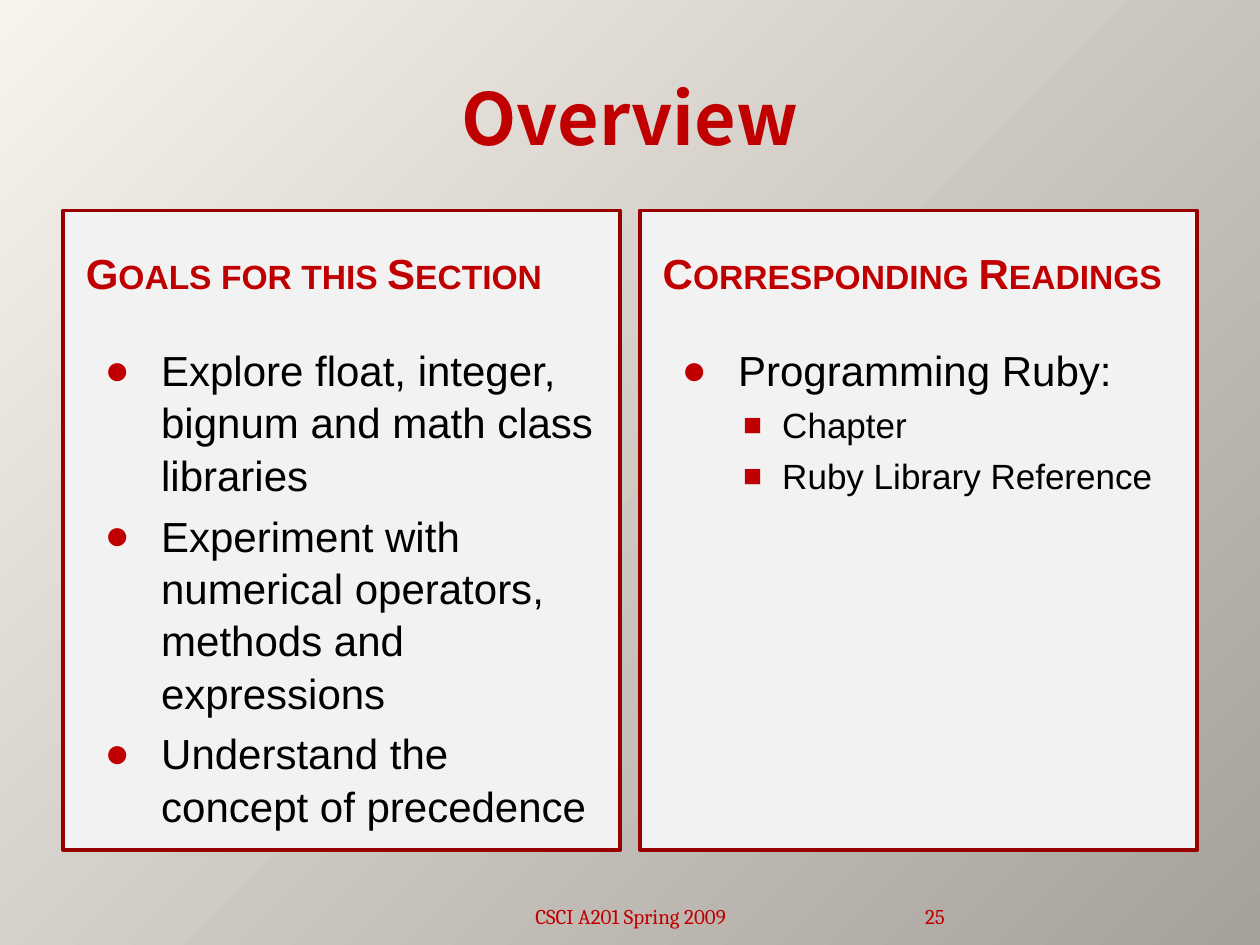
from lxml import etree
from pptx import Presentation
from pptx.dml.color import RGBColor
from pptx.enum.shapes import MSO_SHAPE
from pptx.enum.text import MSO_ANCHOR, PP_ALIGN
from pptx.oxml.ns import qn
from pptx.util import Cm, Pt

RECTANGLE = MSO_SHAPE.RECTANGLE
TOP, MIDDLE, BOTTOM = MSO_ANCHOR.TOP, MSO_ANCHOR.MIDDLE, MSO_ANCHOR.BOTTOM
LEFT, CENTER, RIGHT = PP_ALIGN.LEFT, PP_ALIGN.CENTER, PP_ALIGN.RIGHT
RED, DARK_RED, PANEL_GREY, BLACK = "C00000", "970000", "F2F2F2", "000000"
PANEL_LEFTS = (1.27, 12.9)
PANEL_TOP, PANEL_WIDTH, PANEL_HEIGHT, PADDING = 4.24, 11.23, 12.9, 0.21
# level: (bullet, bullet size %, text size, left margin, hanging indent)
LEVELS = (("●", 100, 24, 1.52, 1.14), ("■", 90, 20, 2.41, 0.79))
SECTIONS = (
    ("Goals for this Section", (
        (0, "Explore float, integer, bignum and math class libraries"),
        (0, "Experiment with numerical operators, methods and expressions"),
        (0, "Understand the concept of precedence"),
    )),
    ("Corresponding Readings", (
        (0, "Programming Ruby:"),
        (1, "Chapter"),
        (1, "Ruby Library Reference"),
    )),
)


def color(value):
    """Turn a hex string into a colour."""
    return RGBColor.from_string(value)


def style_paragraph(paragraph, size, font_name, font_color, bold=False):
    """Format every run of a paragraph."""
    for run in paragraph.runs:
        run.font.size = Pt(size)
        run.font.name = font_name
        run.font.bold = bold
        run.font.color.rgb = color(font_color)


def set_background(slide):
    """Fill the background with a diagonal gradient."""
    fill = slide.background.fill
    fill.gradient()
    fill.gradient_angle = 315
    for stop, value in zip(fill.gradient_stops, ("F7F3EC", "A6A29B")):
        stop.color.rgb = color(value)


def set_title(slide, text):
    """Place and format the title placeholder."""
    title = slide.shapes.title
    title.left, title.top = Cm(1.27), Cm(0.76)
    title.width, title.height = Cm(22.86), Cm(3.18)
    title.text_frame.text = text
    title.text_frame.vertical_anchor = MIDDLE
    paragraph = title.text_frame.paragraphs[0]
    paragraph.alignment = CENTER
    style_paragraph(paragraph, 41, "Noto Sans CJK SC", RED, bold=True)
    east_asian = etree.SubElement(paragraph.runs[0].font._element, qn("a:ea"))
    east_asian.set("typeface", "Noto Sans CJK SC")


def add_panel(slide, left):
    """Draw one framed panel."""
    shape = slide.shapes.add_shape(
        RECTANGLE, Cm(left), Cm(PANEL_TOP), Cm(PANEL_WIDTH), Cm(PANEL_HEIGHT))
    shape.shadow.inherit = False
    shape.fill.solid()
    shape.fill.fore_color.rgb = color(PANEL_GREY)
    shape.line.color.rgb = color(DARK_RED)
    shape.line.width = Pt(2)


def add_text(slide, box, anchor):
    """Add a wrapping text box and return its text frame."""
    text_box = slide.shapes.add_textbox(*map(Cm, box))
    text_box.text_frame.word_wrap = True
    text_box.text_frame.vertical_anchor = anchor
    return text_box.text_frame


def add_heading(slide, left, text):
    """Write a panel heading in small capitals."""
    frame = add_text(slide, (left, 4.45, 10.8, 2.1), MIDDLE)
    frame.text = text
    paragraph = frame.paragraphs[0]
    style_paragraph(paragraph, 24, "Arial", RED, bold=True)
    paragraph.runs[0].font._element.set("cap", "small")


def add_bullet(paragraph, level):
    """Give a paragraph the bullet and indent of its level."""
    symbol, percent, _, margin, hanging = LEVELS[level]
    properties = paragraph._p.get_or_add_pPr()
    properties.set("marL", str(Cm(margin)))
    properties.set("indent", str(-Cm(hanging)))
    bullet_color = etree.SubElement(properties, qn("a:buClr"))
    etree.SubElement(bullet_color, qn("a:srgbClr")).set("val", RED)
    etree.SubElement(properties, qn("a:buSzPct")).set("val", str(percent * 1000))
    etree.SubElement(properties, qn("a:buFont")).set("typeface", "Arial")
    etree.SubElement(properties, qn("a:buChar")).set("char", symbol)


def add_list(slide, left, items):
    """Write the bulleted list of a panel."""
    frame = add_text(slide, (left, 6.78, 10.8, 10.16), TOP)
    for index, (level, text) in enumerate(items):
        paragraph = frame.add_paragraph() if index else frame.paragraphs[0]
        size = LEVELS[level][2]
        paragraph.text = text
        paragraph.level = level
        add_bullet(paragraph, level)
        paragraph.line_spacing = 1.04
        if index:
            paragraph.space_before = Pt(size * 0.2)
        style_paragraph(paragraph, size, "Arial", BLACK)


def add_footer(slide, box, text, alignment, side_margin):
    """Write one footer item."""
    frame = add_text(slide, box, BOTTOM)
    frame.margin_left = frame.margin_right = Cm(side_margin)
    frame.text = text
    frame.paragraphs[0].alignment = alignment
    style_paragraph(frame.paragraphs[0], 12, "Cambria", RED)


def main():
    """Build the overview slide."""
    presentation = Presentation()
    presentation.slide_width, presentation.slide_height = Cm(25.4), Cm(19.05)
    slide = presentation.slides.add_slide(presentation.slide_layouts[5])
    set_background(slide)
    set_title(slide, "Overview")
    for left, (heading, items) in zip(PANEL_LEFTS, SECTIONS):
        add_panel(slide, left)
        add_heading(slide, left + PADDING, heading)
        add_list(slide, left + PADDING, items)
    add_footer(slide, (8.69, 17.83, 8.05, 1.02), "CSCI A201 Spring 2009", CENTER, 0.25)
    add_footer(slide, (16.94, 17.83, 2.11, 1.02), "25", RIGHT, 0)
    presentation.save("out.pptx")


if __name__ == "__main__":
    main()
